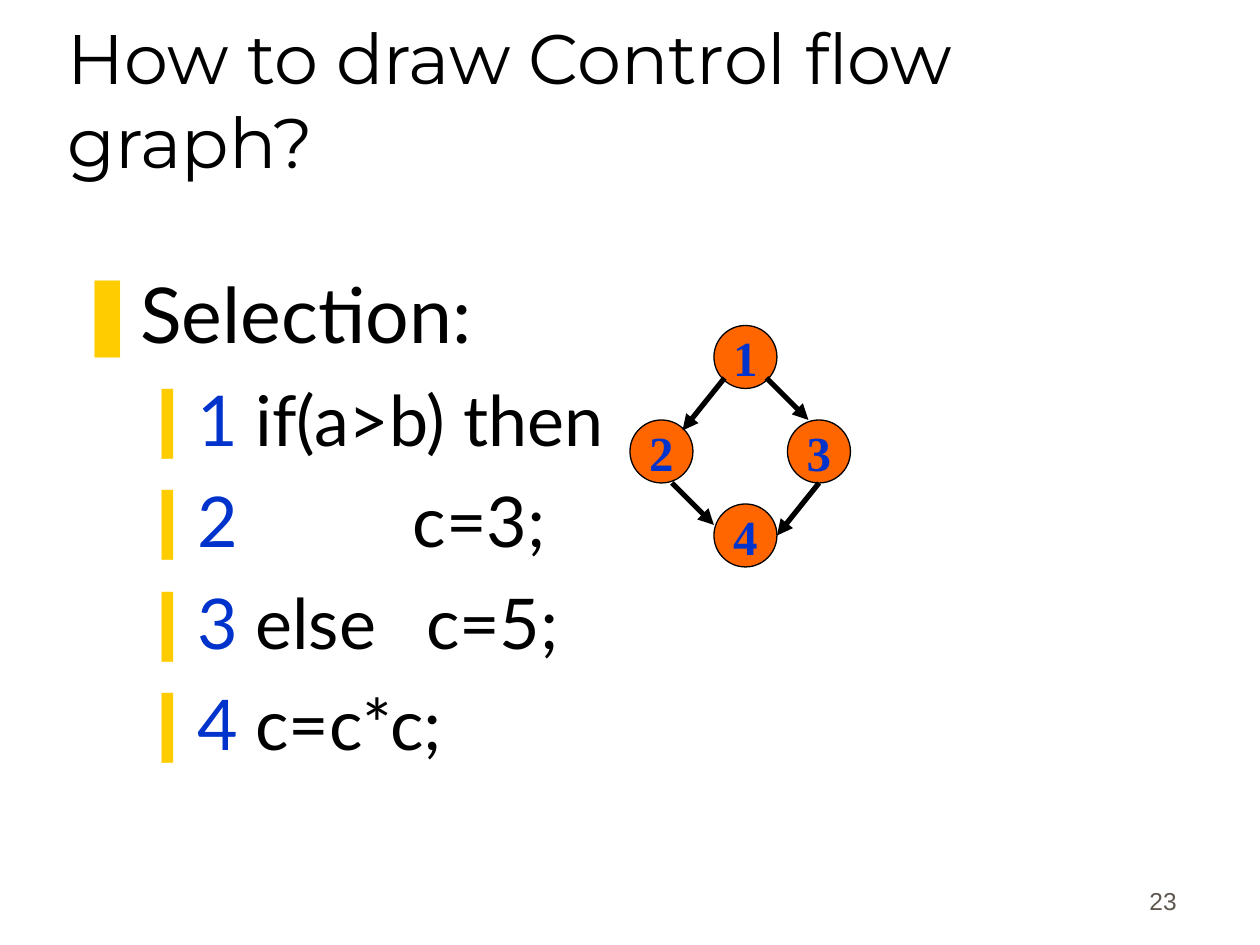
import pptx
import pptx.util
import pptx.dml.color
import pptx.enum.shapes
import pptx.enum.text
import pptx.oxml
import pptx.oxml.ns

PX = 9525  # EMU per px, 96 px to the inch
BLACK = pptx.dml.color.RGBColor(0x00, 0x00, 0x00)
BLUE = pptx.dml.color.RGBColor(0x00, 0x33, 0xCC)
ORANGE = pptx.dml.color.RGBColor(0xFF, 0x66, 0x00)
YELLOW = pptx.dml.color.RGBColor(0xFF, 0xCC, 0x00)
GREY = pptx.dml.color.RGBColor(0x5E, 0x57, 0x4E)
ANCHOR = pptx.enum.text.MSO_ANCHOR
ALIGN = pptx.enum.text.PP_ALIGN


def style(run, face, size, color, bold=False):
    run.font.name = face
    run.font.size = pptx.util.Pt(size)
    run.font.color.rgb = color
    run.font.bold = bold


def set_bullet(paragraph, symbol, indent, hanging, tab=None):
    """Give the paragraph a yellow bullet, a hanging indent and perhaps a tab stop."""
    props = paragraph._p.get_or_add_pPr()
    props.set("marL", str(indent * PX))
    props.set("indent", str(-hanging * PX))
    namespace = pptx.oxml.ns.nsdecls("a")
    parts = [
        f'<a:buClr {namespace}><a:srgbClr val="{YELLOW}"/></a:buClr>',
        f'<a:buChar {namespace} char="{symbol}"/>',
    ]
    if tab:
        parts.append(f'<a:tabLst {namespace}><a:tab pos="{tab * PX}" algn="l"/></a:tabLst>')
    for part in parts:
        props.append(pptx.oxml.parse_xml(part))


deck = pptx.Presentation()
deck.slide_width, deck.slide_height = 960 * PX, 720 * PX
slide = deck.slides.add_slide(deck.slide_layouts[1])

# Title
title = slide.shapes.title
title.left, title.top, title.width, title.height = 42 * PX, 24 * PX, 816 * PX, 120 * PX
title.text_frame.text = "How to draw Control flow graph?"
title.text_frame.vertical_anchor = ANCHOR.BOTTOM
title.text_frame.auto_size = pptx.enum.text.MSO_AUTO_SIZE.NONE
heading = title.text_frame.paragraphs[0]
heading.alignment = ALIGN.LEFT
style(heading.runs[0], "Montserrat", 40, BLACK)

# Code listing
listing = slide.placeholders[1]
listing.left, listing.top, listing.width, listing.height = 48 * PX, 198 * PX, 858 * PX, 438 * PX
listing.text_frame.text = "Selection:"
listing.text_frame.auto_size = pptx.enum.text.MSO_AUTO_SIZE.NONE
topic = listing.text_frame.paragraphs[0]
topic.space_before = pptx.util.Pt(11)
set_bullet(topic, "❚", 36, 36)
style(topic.runs[0], "Lato", 44, BLACK)

code_lines = [
    ("1", " if(a>b) then", None),
    ("2", "\tc=3;", 257),
    ("3", " else\tc=5;", 267),
    ("4", " c=c*c;", None),
]
for number, code, tab in code_lines:
    line = listing.text_frame.add_paragraph()
    line.level = 1
    line.space_before = pptx.util.Pt(10)
    set_bullet(line, "❙", 78, 30, tab)
    for words, color in ((number, BLUE), (code, BLACK)):
        run = line.add_run()
        run.text = words
        style(run, "Lato", 40, color)

# Flow graph nodes
NODE = 48
for number, left, top in (("1", 544, 248), ("2", 480, 320), ("3", 600, 320), ("4", 544, 384)):
    node = slide.shapes.add_shape(
        pptx.enum.shapes.MSO_SHAPE.OVAL, left * PX, top * PX, NODE * PX, NODE * PX)
    node.shadow.inherit = False
    node.fill.solid()
    node.fill.fore_color.rgb = ORANGE
    node.line.color.rgb = BLACK
    node.line.width = pptx.util.Pt(0.75)
    node.text_frame.text = number
    node.text_frame.word_wrap = False
    node.text_frame.vertical_anchor = ANCHOR.MIDDLE
    label = node.text_frame.paragraphs[0]
    label.alignment = ALIGN.CENTER
    style(label.runs[0], "Times New Roman", 28, BLUE, bold=True)

# Flow graph edges
edges = [
    (552, 288, 520, 328),
    (584, 288, 616, 320),
    (512, 368, 544, 400),
    (624, 368, 592, 408),
]
for ends in edges:
    edge = slide.shapes.add_connector(
        pptx.enum.shapes.MSO_CONNECTOR.STRAIGHT, *(end * PX for end in ends))
    edge.line.color.rgb = BLACK
    edge.line.width = pptx.util.Pt(3)
    arrowhead = pptx.oxml.parse_xml(
        f'<a:tailEnd {pptx.oxml.ns.nsdecls("a")} type="triangle"/>')
    edge.line._get_or_add_ln().append(arrowhead)
    edge._element.spPr.append(
        pptx.oxml.parse_xml(f'<a:effectLst {pptx.oxml.ns.nsdecls("a")}/>'))

# Slide number
page = slide.shapes.add_textbox(706 * PX, 654 * PX, 200 * PX, 48 * PX)
page.text_frame.text = "23"
page.text_frame.word_wrap = True
page.text_frame.vertical_anchor = ANCHOR.BOTTOM
page_number = page.text_frame.paragraphs[0]
page_number.alignment = ALIGN.RIGHT
style(page_number.runs[0], "Arial", 14, GREY)

deck.save("out.pptx")
